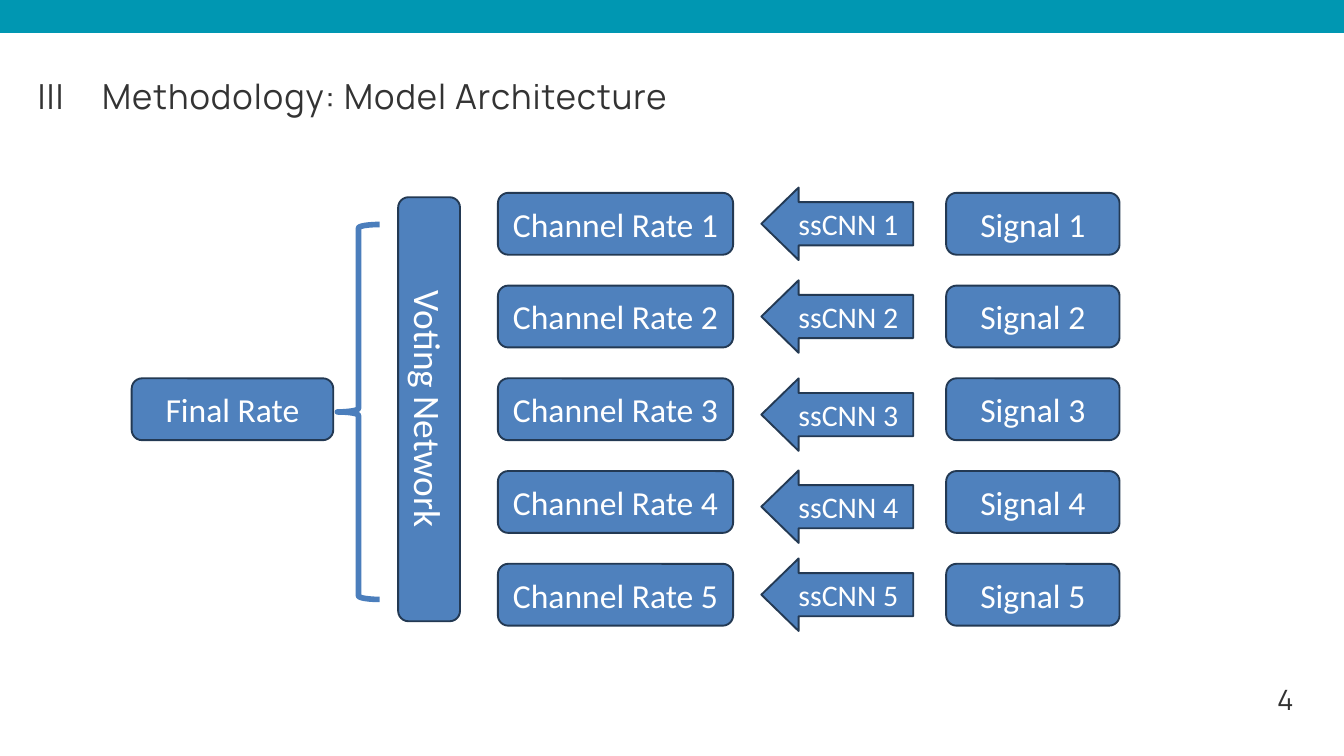
from pptx import Presentation
from pptx import util as u
from pptx.dml.color import RGBColor
from pptx.enum import shapes, text

PX = 9144  # 100 px to the inch
TEAL = RGBColor(0x00, 0x97, 0xB2)
BLUE = RGBColor(0x4F, 0x81, 0xBD)
NAVY = RGBColor(0x23, 0x39, 0x53)
BRACE_BLUE = RGBColor(0x4B, 0x7E, 0xBC)
GREY = RGBColor(0x33, 0x33, 0x33)
WHITE = RGBColor(0xFF, 0xFF, 0xFF)
ROUNDED = shapes.MSO_SHAPE.ROUNDED_RECTANGLE

presentation = Presentation()
presentation.slide_width = 2000 * PX
presentation.slide_height = 1125 * PX
slide = presentation.slides.add_slide(presentation.slide_layouts[5])


def add_block(kind, left, top, width, height, label, size):
    shape = slide.shapes.add_shape(kind, left * PX, top * PX, width * PX, height * PX)
    shape.shadow.inherit = False
    shape.fill.solid()
    shape.fill.fore_color.rgb = BLUE
    shape.line.color.rgb = NAVY
    shape.line.width = u.Pt(2)
    shape.text_frame.text = label
    shape.text_frame.vertical_anchor = text.MSO_ANCHOR.MIDDLE
    paragraph = shape.text_frame.paragraphs[0]
    paragraph.alignment = text.PP_ALIGN.CENTER
    font = paragraph.runs[0].font
    font.name, font.size, font.color.rgb = "Calibri", u.Pt(size), WHITE
    return shape


def write_heading(shape, words, size, line_spacing, alignment, tracking=0):
    frame = shape.text_frame
    frame.text = words
    frame.word_wrap = True
    frame.auto_size = text.MSO_AUTO_SIZE.NONE
    frame.vertical_anchor = text.MSO_ANCHOR.TOP
    frame.margin_left = frame.margin_right = frame.margin_top = frame.margin_bottom = 0
    paragraph = frame.paragraphs[0]
    paragraph.alignment = alignment
    paragraph.line_spacing = u.Pt(line_spacing)
    font = paragraph.runs[0].font
    font.name, font.size, font.color.rgb = "Manrope", u.Pt(size), GREY
    if tracking:
        paragraph.runs[0]._r.get_or_add_rPr().set("spc", str(tracking))


# Top band
band = slide.shapes.add_shape(shapes.MSO_SHAPE.RECTANGLE, 0, 0, 2000 * PX, 49 * PX)
band.shadow.inherit = False
band.fill.solid()
band.fill.fore_color.rgb = TEAL
band.line.fill.background()

# Title, section number and page number
title = slide.shapes.title
title.left, title.top, title.width, title.height = 152 * PX, 112 * PX, 1158 * PX, 61 * PX
write_heading(title, "Methodology: Model Architecture", 37, 44.4, text.PP_ALIGN.LEFT, 110)
section = slide.shapes.add_textbox(46 * PX, 112 * PX, 59 * PX, 61 * PX)
write_heading(section, "III", 37, 44.4, text.PP_ALIGN.CENTER, 110)
page_number = slide.shapes.add_textbox(1850 * PX, 999 * PX, 75 * PX, 64 * PX)
write_heading(page_number, "4", 30, 48, text.PP_ALIGN.RIGHT)

# Final rate, brace and voting network
add_block(ROUNDED, 196, 563, 300, 92, "Final Rate", 36)
brace = slide.shapes.add_shape(shapes.MSO_SHAPE.LEFT_BRACE, 502 * PX, 334 * PX, 63 * PX, 558 * PX)
brace.shadow.inherit = False
brace.fill.background()
brace.line.color.rgb = BRACE_BLUE
brace.line.width = u.Pt(6)
voting = add_block(ROUNDED, 323, 563, 631, 92, "Voting Network", 40)
voting.rotation = 90

# One row per signal: channel rate, network arrow, signal
ARROW_TOPS = [279, 417, 563, 700, 831]
for row, arrow_top in enumerate(ARROW_TOPS):
    number = row + 1
    top = 287 + 138 * row
    add_block(ROUNDED, 741, top, 350, 92, f"Channel Rate {number}", 36)
    arrow = add_block(shapes.MSO_SHAPE.LEFT_ARROW, 1133, arrow_top, 226, 108, f"ssCNN {number}", 32)
    arrow.adjustments[0] = 0.595
    arrow.adjustments[1] = 0.514
    add_block(ROUNDED, 1408, top, 258, 92, f"Signal {number}", 36)

presentation.save("out.pptx")
